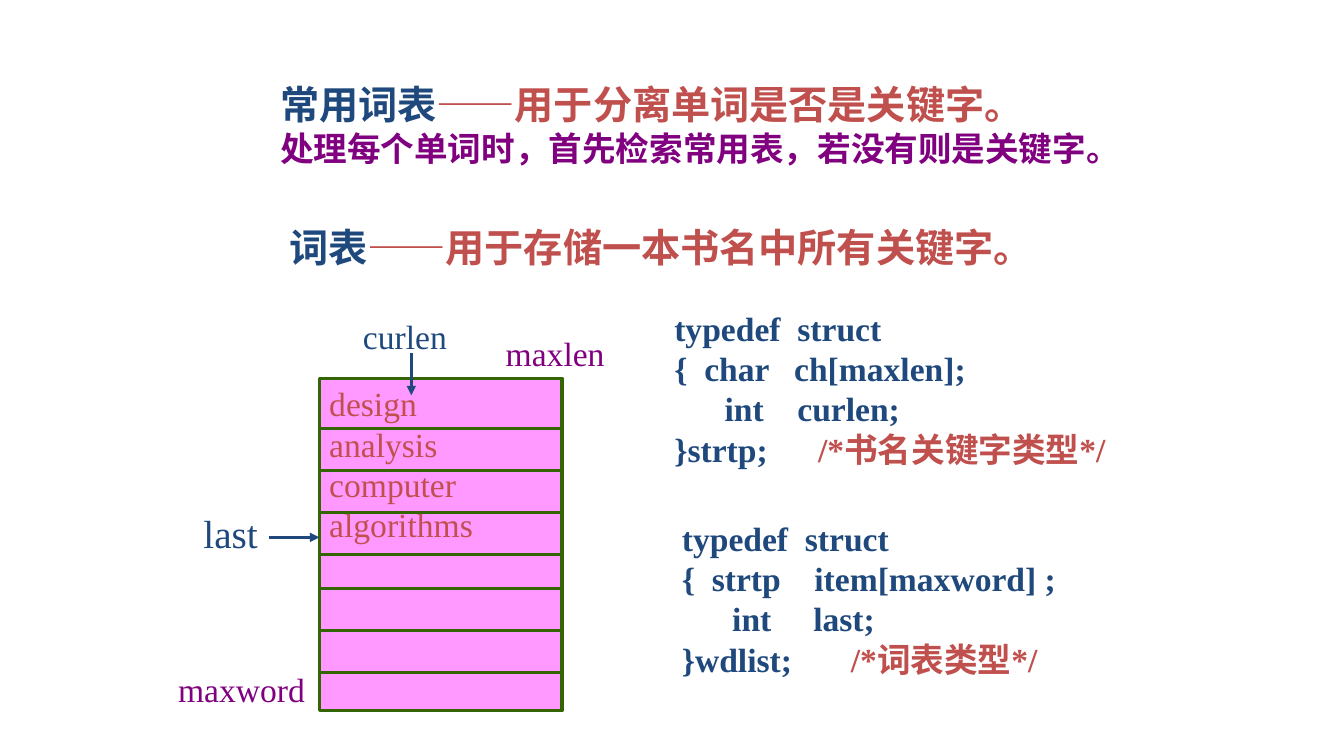
"""Build the slide on the keyword tables and their struct definitions."""
from typing import NamedTuple

from lxml import etree
from pptx import Presentation
from pptx.dml.color import RGBColor
from pptx.enum.shapes import MSO_CONNECTOR as Conn, MSO_SHAPE as Shape
from pptx.enum.text import MSO_ANCHOR as Anchor, MSO_AUTO_SIZE as AutoSize, PP_ALIGN as Align
from pptx.oxml.ns import qn
from pptx.util import Cm, Pt

FONT = "Times New Roman"
NAVY, RED, PURPLE = "1F497D", "C0504D", "800080"
PINK, GREEN = "FF99FF", "336600"

TABLE_LEFT, TABLE_TOP, TABLE_WIDTH, TABLE_HEIGHT = 8.05, 9.53, 6.12, 8.38
TABLE_RIGHT = TABLE_LEFT + TABLE_WIDTH
ROW_PITCH = 1.06


class Run(NamedTuple):
    """A piece of text with its format."""
    text: str
    color: str = NAVY
    size: int = 24
    bold: bool = False


class Box(NamedTuple):
    """A text box: place in centimetres and paragraphs of runs."""
    left: float
    top: float
    width: float
    height: float
    paras: list[list[Run]]


class Line(NamedTuple):
    """A straight line in centimetres."""
    x1: float
    y1: float
    x2: float
    y2: float
    color: str = GREEN
    arrow: bool = False


def rgb(color: str) -> RGBColor:
    """Turn a hex string into a colour."""
    return RGBColor.from_string(color)


def add_run(p, text: str, *, color: str, size: int, bold: bool) -> None:
    """Append one formatted run to a paragraph."""
    r = p.add_run()
    r.text = text
    r.font.name = FONT
    r.font.size = Pt(size)
    r.font.bold = bold
    r.font.color.rgb = rgb(color)


def fill_text(tf, paras: list[list[Run]]) -> None:
    """Write left-aligned paragraphs from the top of a frame."""
    tf.word_wrap = True
    tf.auto_size = AutoSize.NONE
    tf.vertical_anchor = Anchor.TOP
    for i, runs in enumerate(paras):
        p = tf.add_paragraph() if i else tf.paragraphs[0]
        p.alignment = Align.LEFT
        for run in runs:
            add_run(p, run.text, color=run.color, size=run.size, bold=run.bold)


def add_box(s, box: Box) -> None:
    """Draw a text box."""
    sp = s.shapes.add_textbox(Cm(box.left), Cm(box.top), Cm(box.width), Cm(box.height))
    fill_text(sp.text_frame, box.paras)


def add_line(s, line: Line) -> None:
    """Draw a line, with an arrowhead at its end if asked."""
    cxn = s.shapes.add_connector(
        Conn.STRAIGHT, Cm(line.x1), Cm(line.y1), Cm(line.x2), Cm(line.y2))
    cxn.line.color.rgb = rgb(line.color)
    cxn.line.width = Pt(2.25)
    if line.arrow:
        etree.SubElement(cxn.line._get_or_add_ln(), qn("a:tailEnd"), type="triangle")
    etree.SubElement(cxn._element.spPr, qn("a:effectLst"))


def add_word_table(s, words: list[str]) -> None:
    """Draw the word list with its row lines."""
    sp = s.shapes.add_shape(Shape.RECTANGLE, Cm(TABLE_LEFT), Cm(TABLE_TOP),
                            Cm(TABLE_WIDTH), Cm(TABLE_HEIGHT))
    sp.shadow.inherit = False
    sp.fill.solid()
    sp.fill.fore_color.rgb = rgb(PINK)
    sp.line.color.rgb = rgb(GREEN)
    sp.line.width = Pt(2.25)
    fill_text(sp.text_frame, [[Run(word, RED)] for word in words])
    for start, count in ((10.8, 4), (14.82, 3)):
        for i in range(count):
            y = start + i * ROW_PITCH
            add_line(s, Line(TABLE_LEFT, y, TABLE_RIGHT, y))


def heading(term: str, meaning: str) -> list[Run]:
    """Give the runs of a term and its meaning."""
    return [Run(term, NAVY, 28, True), Run(meaning, RED, 28, True)]


def code(lines: list[str], comment: str) -> list[list[Run]]:
    """Give code paragraphs, the last one closed by a comment."""
    paras = [[Run(line, bold=True)] for line in lines]
    paras[-1].append(Run(comment, RED, bold=True))
    return paras


BOXES = [
    Box(6.81, 1.9, 22, 2.46, [
        heading("常用词表", "——用于分离单词是否是关键字。"),
        [Run("处理每个单词时，首先检索常用表，若没有则是关键字。", PURPLE, bold=True)]]),
    Box(7.04, 5.51, 19.5, 1.45, [heading("词表", "——用于存储一本书名中所有关键字。")]),
    Box(4.24, 16.72, 3.8, 1.27, [[Run("maxword", PURPLE)]]),
    Box(4.88, 12.7, 2.1, 1.45, [[Run("last", size=28)]]),
    Box(12.5, 8.26, 3.3, 1.27, [[Run("maxlen", PURPLE)]]),
    Box(8.9, 7.83, 2.9, 1.27, [[Run("curlen")]]),
    Box(16.75, 7.63, 12.2, 4.32, code(
        ["typedef  struct", "{  char   ch[maxlen];", "      int    curlen;", "}strtp;      "],
        "/*书名关键字类型*/")),
    Box(16.94, 12.92, 10.5, 4.32, code(
        ["typedef  struct", "{  strtp    item[maxword] ;", "      int     last;",
         "}wdlist;       "],
        "/*词表类型*/")),
]
ARROWS = [
    Line(6.78, 13.54, TABLE_LEFT, 13.54, NAVY, True),
    Line(10.37, 8.89, 10.37, 9.96, NAVY, True),
]


def main() -> None:
    """Build and save the slide."""
    prs = Presentation()
    prs.slide_width, prs.slide_height = Cm(33.88), Cm(19.05)
    s = prs.slides.add_slide(prs.slide_layouts[6])
    add_word_table(s, ["design", "analysis", "computer", "algorithms"])
    for box in BOXES:
        add_box(s, box)
    for arrow in ARROWS:
        add_line(s, arrow)
    prs.save("out.pptx")


if __name__ == "__main__":
    main()
